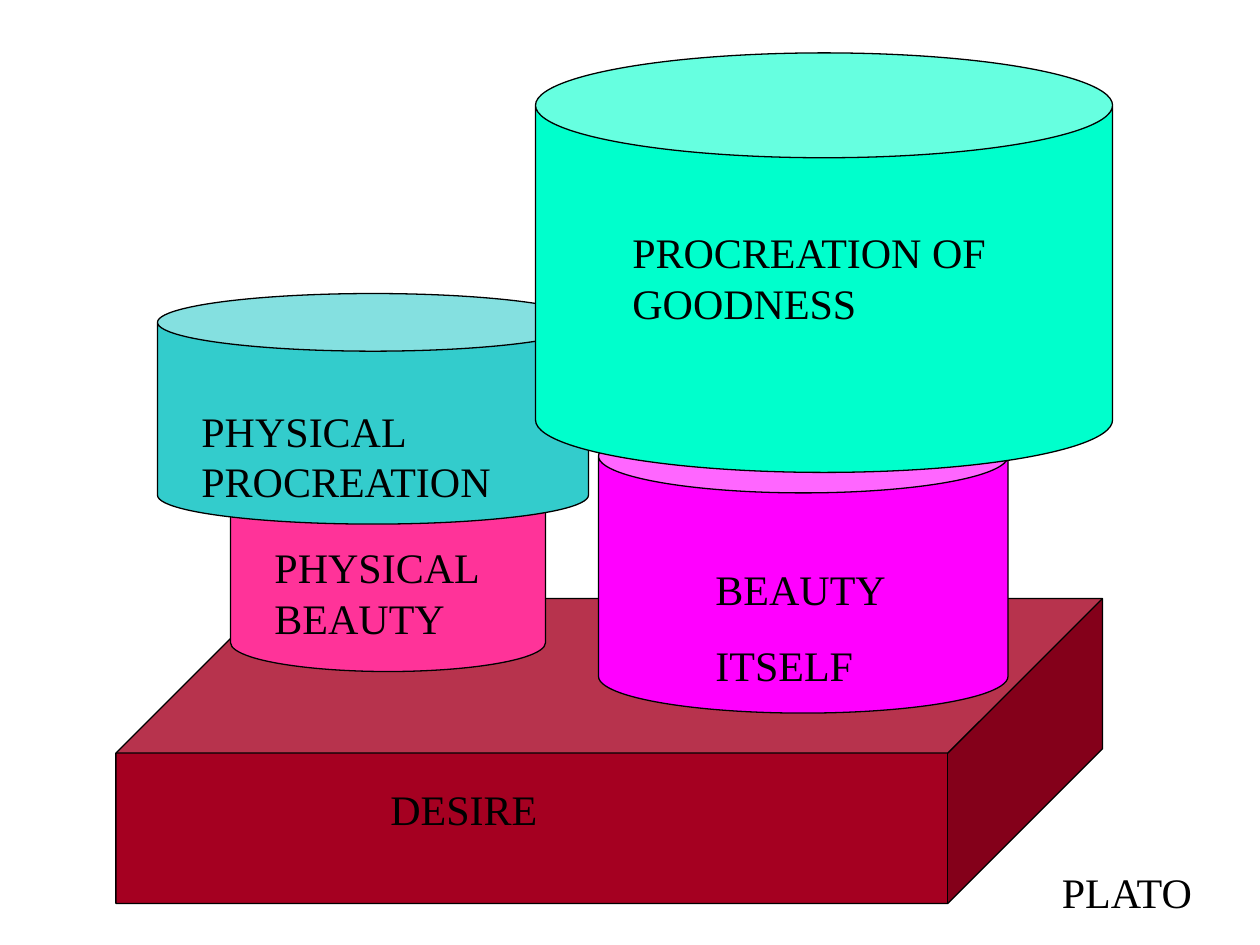
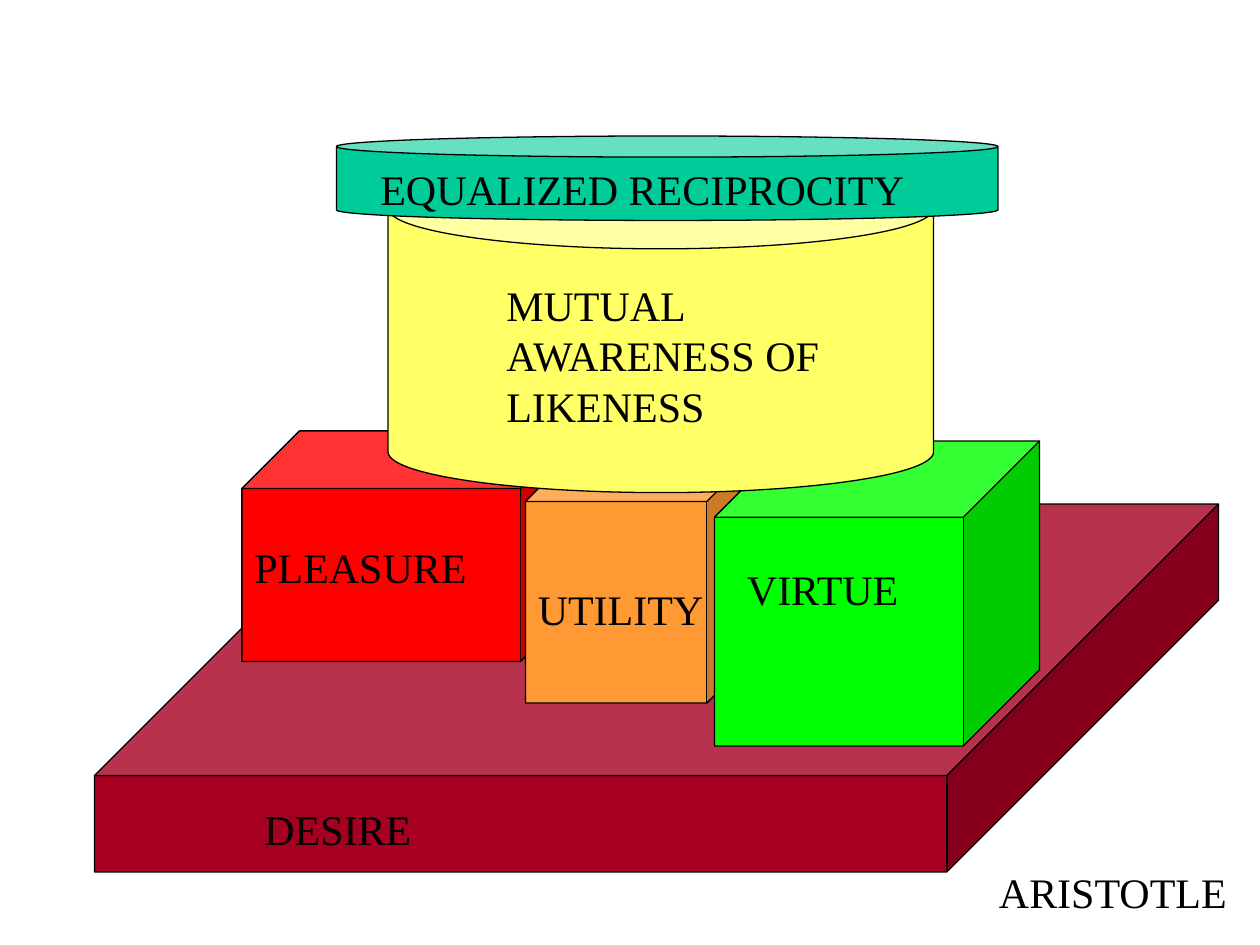
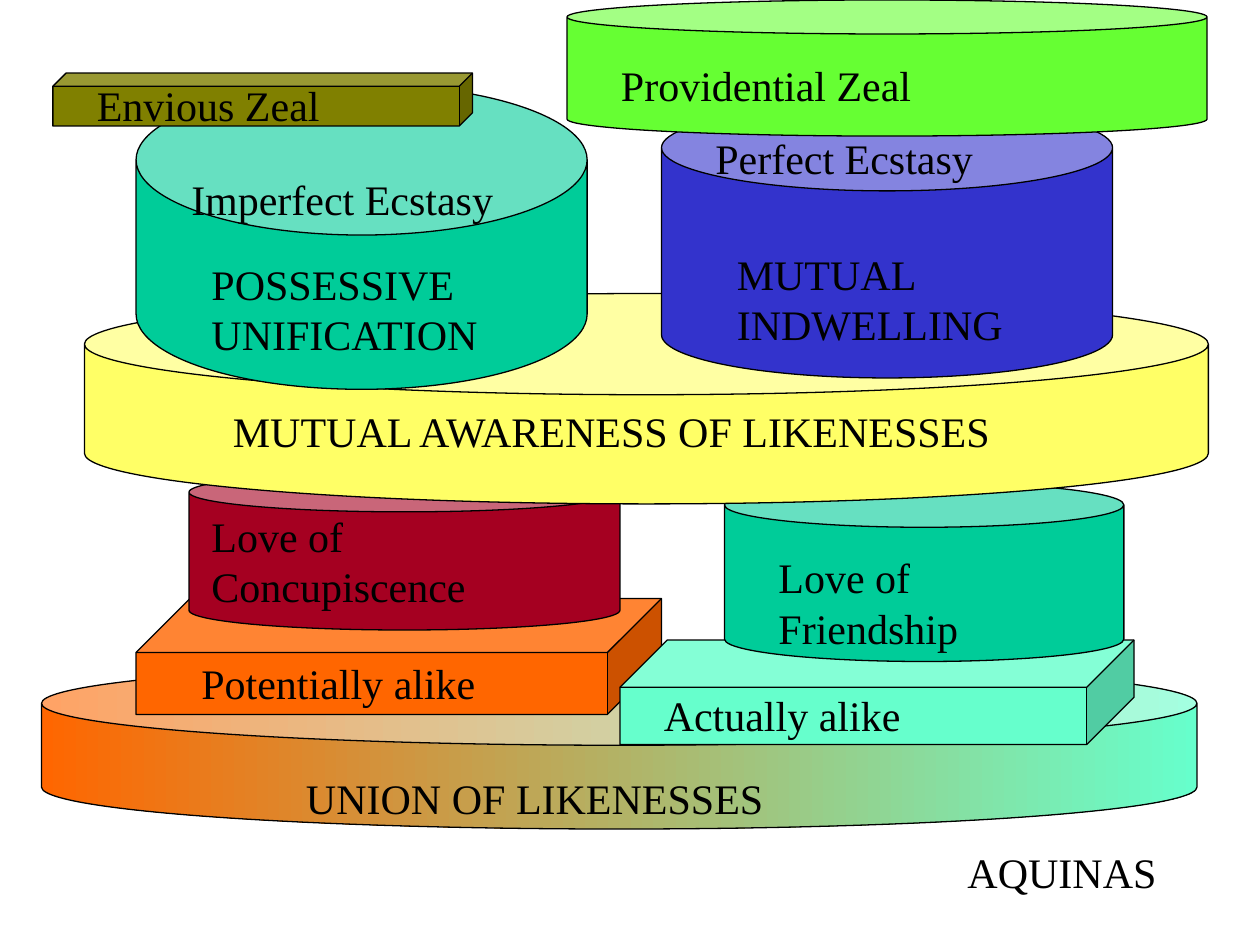
"""Build three block diagrams of love: Plato, Aristotle and Aquinas."""
from pptx import Presentation
from pptx.dml.color import RGBColor
from pptx.enum.shapes import MSO_SHAPE
from pptx.enum.text import MSO_AUTO_SIZE
from pptx.util import Inches, Pt

CAN = MSO_SHAPE.CAN
CUBE = MSO_SHAPE.CUBE
GROW = MSO_AUTO_SIZE.SHAPE_TO_FIT_TEXT

BLACK = RGBColor(0x00, 0x00, 0x00)
CRIMSON = RGBColor(0xA5, 0x00, 0x21)
PINK = RGBColor(0xFF, 0x33, 0x99)
MAGENTA = RGBColor(0xFF, 0x00, 0xFF)
TEAL = RGBColor(0x33, 0xCC, 0xCC)
TURQUOISE = RGBColor(0x00, 0xFF, 0xCC)
RED = RGBColor(0xFF, 0x00, 0x00)
AMBER = RGBColor(0xFF, 0x99, 0x33)
GREEN = RGBColor(0x00, 0xFF, 0x00)
YELLOW = RGBColor(0xFF, 0xFF, 0x66)
JADE = RGBColor(0x00, 0xCC, 0x99)
AQUA = RGBColor(0x66, 0xFF, 0xCC)
ORANGE = RGBColor(0xFF, 0x66, 0x00)
OLIVE = RGBColor(0x80, 0x80, 0x00)
BLUE = RGBColor(0x33, 0x33, 0xCC)
LIME = RGBColor(0x66, 0xFF, 0x33)

FONT = "Times New Roman"
TEXT_SIZE = Pt(24)
PARAGRAPH_GAP = Pt(15)
OUTLINE = Pt(0.75)
ONE_LINE, TWO_LINES, THREE_LINES = 0.5, 0.9, 1.3


class Diagram:
    """Hold the presentation, its style and the current slide."""

    def __init__(self):
        self.presentation = Presentation()
        self.presentation.slide_width = Inches(10)
        self.presentation.slide_height = Inches(7.5)
        self.slide = None

    def new_slide(self):
        """Add a blank slide and make it current."""
        self.slide = self.presentation.slides.add_slide(self.presentation.slide_layouts[6])

    def block(self, kind, left, top, width, height, colors, depth=0.25):
        """Draw a can or cube, filled with one colour or a gradient of two."""
        shape = self.slide.shapes.add_shape(
            kind, Inches(left), Inches(top), Inches(width), Inches(height))
        shape.shadow.inherit = False
        shape.adjustments[0] = depth
        shape.line.color.rgb = BLACK
        shape.line.width = OUTLINE
        if isinstance(colors, RGBColor):
            shape.fill.solid()
            shape.fill.fore_color.rgb = colors
        else:
            shape.fill.gradient()
            shape.fill.gradient_angle = 0
            for stop, color in zip(shape.fill.gradient_stops, colors):
                stop.color.rgb = color

    def label(self, text, left, top, width, height=ONE_LINE):
        """Write a label, one paragraph for each line of the string."""
        box = self.slide.shapes.add_textbox(
            Inches(left), Inches(top), Inches(width), Inches(height))
        frame = box.text_frame
        frame.word_wrap = True
        frame.auto_size = GROW
        frame.text = text
        for paragraph in frame.paragraphs:
            paragraph.space_before = PARAGRAPH_GAP
            paragraph.font.name = FONT
            paragraph.font.size = TEXT_SIZE
            paragraph.font.color.rgb = BLACK


def draw_plato(diagram):
    """Draw two columns standing on desire."""
    diagram.new_slide()
    diagram.block(CUBE, 0.92, 4.75, 7.83, 2.42, CRIMSON, 0.507)
    diagram.label("DESIRE", 3, 6.17, 2.83)
    diagram.block(CAN, 1.83, 3.5, 2.5, 1.83, PINK)
    diagram.label("PHYSICAL BEAUTY", 2.08, 4.25, 2.08, TWO_LINES)
    diagram.block(CAN, 4.75, 3.33, 3.25, 2.33, MAGENTA)
    diagram.label("BEAUTY\nITSELF", 5.58, 4.42, 1.58, 1.11)
    diagram.block(CAN, 1.25, 2.33, 3.42, 1.83, TEAL)
    diagram.label("PHYSICAL PROCREATION", 1.5, 3.17, 3.58, TWO_LINES)
    diagram.block(CAN, 4.25, 0.42, 4.58, 3.33, TURQUOISE)
    diagram.label("PROCREATION OF GOODNESS", 4.92, 1.75, 3.42, TWO_LINES)
    diagram.label("PLATO", 8.33, 6.83, 1.67)


def draw_aristotle(diagram):
    """Draw three cubes on desire that carry likeness and reciprocity."""
    diagram.new_slide()
    diagram.block(CUBE, 0.75, 4, 8.92, 2.92, CRIMSON, 0.738)
    diagram.label("DESIRE", 2, 6.33, 3.25)
    diagram.block(CUBE, 1.92, 3.42, 2.67, 1.83, RED)
    diagram.label("PLEASURE", 1.92, 4.25, 2)
    diagram.block(CUBE, 4.17, 3.5, 1.92, 2.08, AMBER)
    diagram.label("UTILITY", 4.17, 4.58, 1.73)
    diagram.block(CUBE, 5.67, 3.5, 2.58, 2.42, GREEN)
    diagram.label("VIRTUE", 5.83, 4.42, 1.83)
    diagram.block(CAN, 3.08, 1.33, 4.33, 2.58, YELLOW)
    diagram.label("MUTUAL AWARENESS OF LIKENESS", 3.92, 2.17, 3, THREE_LINES)
    diagram.block(CAN, 2.67, 1.08, 5.25, 0.67, JADE)
    diagram.label("EQUALIZED RECIPROCITY", 2.92, 1.25, 4.75)
    diagram.label("ARISTOTLE", 7.83, 6.83, 2.17)


def draw_aquinas(diagram):
    """Draw the two kinds of love rising from the union of likenesses."""
    diagram.new_slide()
    diagram.block(CAN, 0.33, 5.25, 9.17, 1.33, (ORANGE, AQUA), 0.5)
    diagram.block(CUBE, 1.08, 4.75, 4.17, 0.92, ORANGE, 0.466)
    diagram.label("Potentially alike", 1.5, 5.17, 3.08)
    diagram.block(CUBE, 4.92, 5.08, 4.08, 0.83, AQUA, 0.452)
    diagram.label("Actually alike", 5.17, 5.42, 3.17)
    diagram.block(CAN, 1.5, 3.75, 3.42, 1.25, CRIMSON)
    diagram.label("Love of Concupiscence", 1.58, 4, 2.25, TWO_LINES)
    diagram.block(CAN, 5.75, 3.83, 3.17, 1.42, JADE)
    diagram.label("Love of Friendship", 6.08, 4.33, 1.75, TWO_LINES)
    diagram.block(CAN, 0.67, 2.33, 8.92, 1.67, YELLOW, 0.481)
    diagram.label("MUTUAL AWARENESS OF LIKENESSES", 1.75, 3.17, 7.08)
    diagram.block(CAN, 1.08, 0.67, 3.58, 2.42, JADE, 0.494)
    diagram.label("POSSESSIVE UNIFICATION", 1.58, 2, 2.75, TWO_LINES)
    diagram.label("Imperfect Ecstasy", 1.42, 1.33, 4.67)
    diagram.block(CUBE, 0.42, 0.58, 3.33, 0.42, OLIVE)
    diagram.label("Envious Zeal", 0.67, 0.58, 4.08)
    diagram.block(CAN, 5.25, 0.83, 3.58, 2.17, BLUE, 0.316)
    diagram.label("MUTUAL INDWELLING", 5.75, 1.92, 2.5, TWO_LINES)
    diagram.label("Perfect Ecstasy", 5.58, 1, 3)
    diagram.block(CAN, 4.5, 0, 5.08, 1.08, LIME)
    diagram.label("Providential Zeal", 4.83, 0.42, 3.92)
    diagram.label("UNION OF LIKENESSES", 2.33, 6.08, 6.42)
    diagram.label("AQUINAS", 7.58, 6.67, 2.08)


def main():
    """Draw the slides and save the presentation."""
    diagram = Diagram()
    draw_plato(diagram)
    draw_aristotle(diagram)
    draw_aquinas(diagram)
    diagram.presentation.save("out.pptx")


if __name__ == "__main__":
    main()
